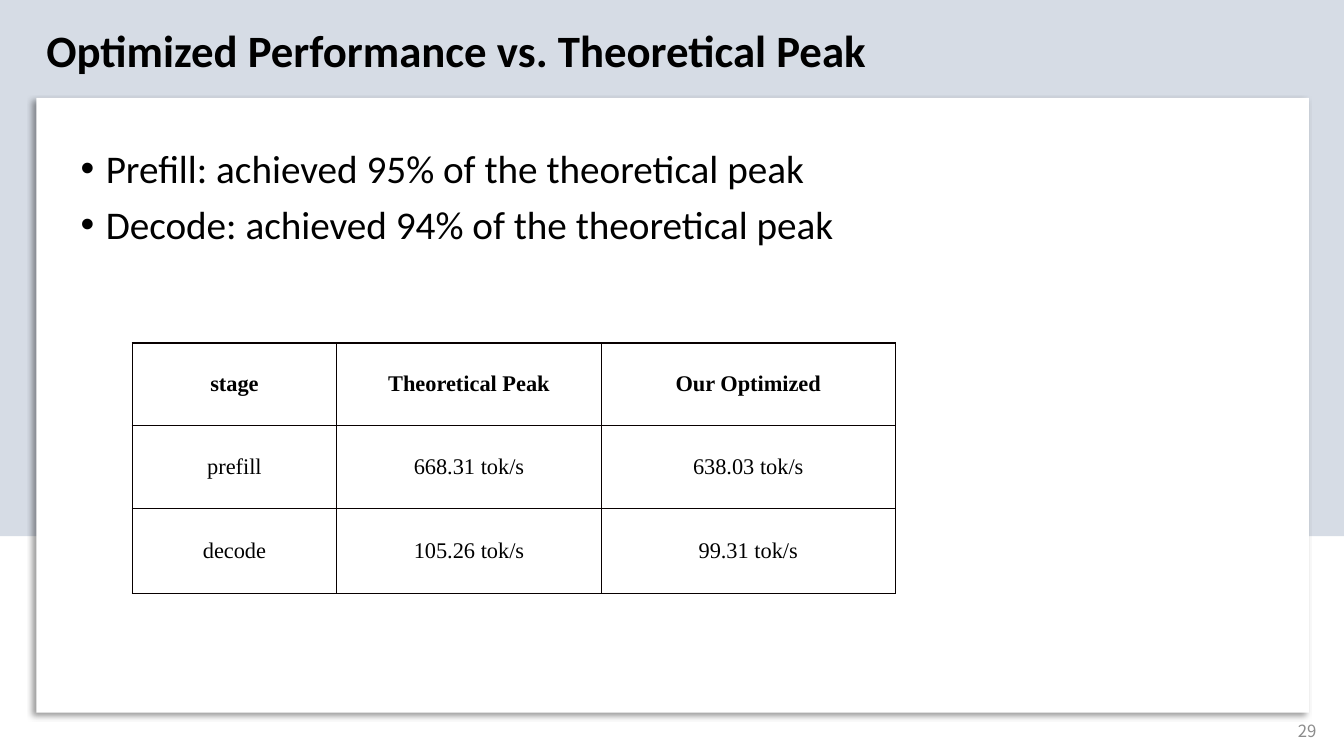
from dataclasses import dataclass

import pptx
import pptx.dml.color
import pptx.enum.shapes
import pptx.enum.text
import pptx.oxml
import pptx.oxml.ns
import pptx.util
from lxml import etree

Pt = pptx.util.Pt
ALIGN = pptx.enum.text.PP_ALIGN
ANCHOR = pptx.enum.text.MSO_ANCHOR
NS = pptx.oxml.ns.nsdecls("a")

COLORS = {
    "band": "D6DCE5",
    "card": "FFFFFF",
    "text": "000000",
    "number": "8C8C8C",
    "border": "080000",
}


@dataclass
class Box:
    left: float
    top: float
    width: float
    height: float

    def emu(self):
        return [Pt(v) for v in (self.left, self.top, self.width, self.height)]


@dataclass
class Style:
    font: str
    size: float
    color: str = "text"
    bold: bool = False
    align: ALIGN = ALIGN.LEFT


TITLE = Style("Calibri", 32, bold=True)
BULLET = Style("Calibri", 28, align=ALIGN.JUSTIFY)
HEADER = Style("Times New Roman", 16, bold=True, align=ALIGN.CENTER)
BODY = Style("Times New Roman", 16, align=ALIGN.CENTER)
NUMBER = Style("Noto Sans CJK KR", 12, "number", align=ALIGN.RIGHT)


def rgb(name: str):
    return pptx.dml.color.RGBColor.from_string(COLORS[name])


def add_xml(parent, xml: str) -> None:
    parent.append(etree.fromstring(xml, pptx.oxml.oxml_parser)
                  if hasattr(pptx.oxml, "oxml_parser") else pptx.oxml.parse_xml(xml))


def style_paragraph(p, style: Style) -> None:
    p.alignment = style.align
    p.font.name = style.font
    p.font.size = Pt(style.size)
    p.font.bold = style.bold
    p.font.color.rgb = rgb(style.color)


def add_panel(s, box: Box, color: str):
    sp = s.shapes.add_shape(pptx.enum.shapes.MSO_SHAPE.RECTANGLE, *box.emu())
    sp.shadow.inherit = False
    sp.fill.solid()
    sp.fill.fore_color.rgb = rgb(color)
    sp.line.fill.background()
    return sp


def add_text(s, box: Box, lines: list[str], style: Style, wrap: bool = True,
             bullets: bool = False, anchor: ANCHOR = ANCHOR.TOP) -> None:
    tf = s.shapes.add_textbox(*box.emu()).text_frame
    tf.word_wrap = wrap
    tf.vertical_anchor = anchor
    for i, line in enumerate(lines):
        p = tf.add_paragraph() if i else tf.paragraphs[0]
        p.text = line
        if bullets:
            pPr = p._p.get_or_add_pPr()
            pPr.set("marL", str(Pt(18)))
            pPr.set("indent", str(-Pt(18)))
            add_xml(pPr, f'<a:buFont {NS} typeface="Arial"/>')
            add_xml(pPr, f'<a:buChar {NS} char="•"/>')
            p.line_spacing = 0.9
            if i:
                p.space_before = Pt(10)
        style_paragraph(p, style)


def add_grid(s, box: Box, widths: list[float], heights: list[float],
             rows: list[list[str]]) -> None:
    table = s.shapes.add_table(len(rows), len(widths), *box.emu()).table
    table.first_row = table.horz_banding = False
    for column, width in zip(table.columns, widths):
        column.width = Pt(width)
    for row, height in zip(table.rows, heights):
        row.height = Pt(height)
    for i, texts in enumerate(rows):
        for j, text in enumerate(texts):
            cell = table.cell(i, j)
            cell.margin_left = cell.margin_right = Pt(5)
            cell.margin_top = cell.margin_bottom = 0
            cell.vertical_anchor = ANCHOR.MIDDLE
            for side in ("lnL", "lnR", "lnT", "lnB"):
                add_xml(cell._tc.get_or_add_tcPr(),
                        f'<a:{side} {NS} w="{Pt(1)}"><a:solidFill>'
                        f'<a:srgbClr val="{COLORS["border"]}"/>'
                        f'</a:solidFill></a:{side}>')
            cell.fill.background()
            p = cell.text_frame.paragraphs[0]
            p.text = text
            style_paragraph(p, BODY if i else HEADER)


def main() -> None:
    prs = pptx.Presentation()
    prs.slide_width, prs.slide_height = Pt(960), Pt(540)
    s = prs.slides.add_slide(prs.slide_layouts[6])

    # Background band and white card with its shadow
    add_panel(s, Box(0, 0, 960, 383), "band")
    card = add_panel(s, Box(26, 70, 909, 439), "card")
    effects = card._element.spPr.find(pptx.oxml.ns.qn("a:effectLst"))
    add_xml(effects, f'<a:outerShdw {NS} blurRad="{Pt(4)}" dist="{Pt(3)}" '
                     f'dir="{135 * 60000}" algn="tr" rotWithShape="0">'
                     f'<a:srgbClr val="{COLORS["text"]}"><a:alpha val="40000"/>'
                     f'</a:srgbClr></a:outerShdw>')

    # Page number and title
    add_text(s, Box(731.5, 507.5, 216, 28.75), ["29"], NUMBER, anchor=ANCHOR.MIDDLE)
    add_text(s, Box(26, 13, 606, 46), ["Optimized Performance vs. Theoretical Peak"],
             TITLE, wrap=False)

    # Throughput table
    add_grid(s, Box(94.5, 245, 545, 179), [146, 189, 210], [59, 59, 61], [
        ["stage", "Theoretical Peak", "Our Optimized"],
        ["prefill", "668.31 tok/s", "638.03 tok/s"],
        ["decode", "105.26 tok/s", "99.31 tok/s"],
    ])

    # Findings
    add_text(s, Box(50.5, 103, 612, 78.5), [
        "Prefill: achieved 95% of the theoretical peak",
        "Decode: achieved 94% of the theoretical peak",
    ], BULLET, bullets=True)

    prs.save("out.pptx")


if __name__ == "__main__":
    main()
